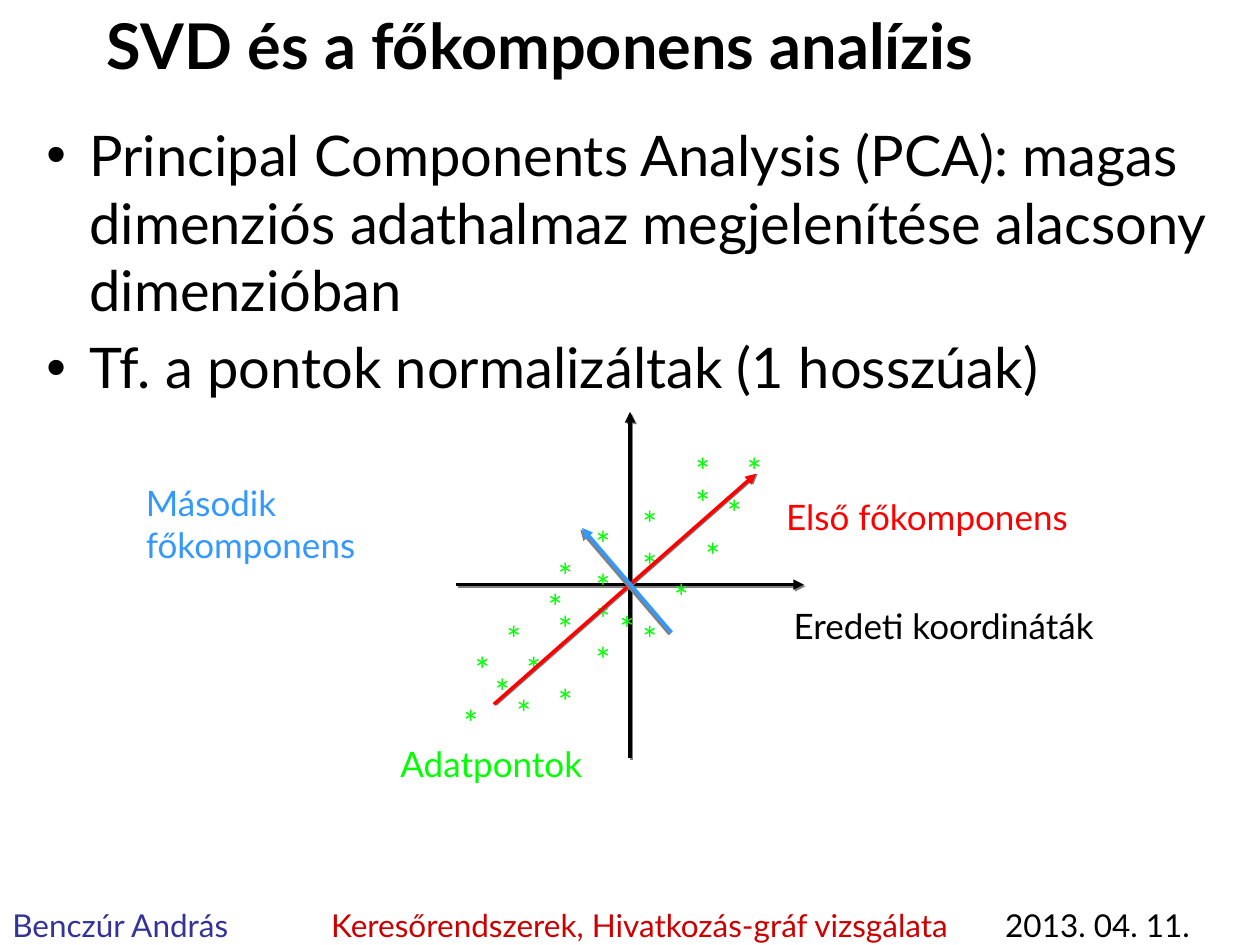
from lxml import etree
from pptx import Presentation
from pptx.dml.color import RGBColor
from pptx.enum.shapes import MSO_CONNECTOR
from pptx.enum.text import MSO_ANCHOR, PP_ALIGN
from pptx.oxml import parse_xml
from pptx.oxml.ns import nsdecls, qn
from pptx.util import Inches, Pt

COLORS = {"black": "000000", "green": "00FF00", "red": "FF0000", "blue": "3399FF",
          "navy": "333399", "crimson": "CC0000", "shadow": "808080"}
FONT = "Lato"

prs = Presentation()
prs.slide_width, prs.slide_height = Inches(10), Inches(7.5)
s = prs.slides.add_slide(prs.slide_layouts[6])


def add_text(paragraphs, x, y, w, h, size=20, bold=False, wrap=False,
             anchor=MSO_ANCHOR.TOP, gap=0):
    """Each paragraph is a list of (text, color) runs."""
    sp = s.shapes.add_textbox(Inches(x), Inches(y), Inches(w), Inches(h))
    tf = sp.text_frame
    tf.word_wrap = wrap
    tf.vertical_anchor = anchor
    for i, runs in enumerate(paragraphs):
        p = tf.add_paragraph() if i else tf.paragraphs[0]
        p.alignment = PP_ALIGN.LEFT
        p.space_before = Pt(gap if i else 0)
        for n, line in enumerate(runs):
            text, color = line
            for k, part in enumerate(text.split("\n")):
                if k:
                    p.add_line_break()
                r = p.add_run()
                r.text = part
                r.font.name, r.font.size, r.font.bold = FONT, Pt(size), bold
                r.font.color.rgb = RGBColor.from_string(COLORS[color])
    return tf


def add_arrow(start, end, color, shadow_dist, shadow_angle):
    c = s.shapes.add_connector(MSO_CONNECTOR.STRAIGHT,
                               *(Inches(v) for v in start + end))
    c.line.width = Pt(2)
    c.line.color.rgb = RGBColor.from_string(COLORS[color])
    etree.SubElement(c.line._get_or_add_ln(), qn("a:tailEnd"), type="triangle")
    c._element.spPr.append(parse_xml(
        f'<a:effectLst {nsdecls("a")}><a:outerShdw dist="{Pt(shadow_dist)}" '
        f'dir="{shadow_angle * 60000}" algn="ctr" rotWithShape="0">'
        f'<a:srgbClr val="{COLORS["shadow"]}"/></a:outerShdw></a:effectLst>'))


# Footer, its three parts set on tab stops
tf = add_text([[("Benczúr András\t", "navy"),
                ("Keresőrendszerek, Hivatkozás-gráf vizsgálata\t", "crimson"),
                ("2013. 04. 11.", "black")]], 0, 7.14, 10, 0.4, size=18, wrap=True)
tabs = etree.SubElement(tf.paragraphs[0]._p.get_or_add_pPr(), qn("a:tabLst"))
for stop in (2.53, 7.88):
    etree.SubElement(tabs, qn("a:tab"), pos=str(Inches(stop)), algn="l")

# Bulleted body
tf = add_text([[("Principal Components Analysis (PCA): magas dimenziós adathalmaz "
                 "megjelenítése alacsony dimenzióban", "black")],
               [("Tf. a pontok normalizáltak (1 hosszúak)", "black")]],
              0.27, 0.91, 9.45, 6.14, size=32, wrap=True, gap=6)
for p in tf.paragraphs:
    pPr = p._p.get_or_add_pPr()
    pPr.set("marL", str(Inches(0.34)))
    pPr.set("indent", str(Inches(-0.34)))
    etree.SubElement(pPr, qn("a:buFont"), typeface="Arial")
    etree.SubElement(pPr, qn("a:buChar"), char="•")

# Original axes
add_arrow((5, 6.02), (5, 3.27), "black", 1.4, 45)
add_arrow((3.62, 4.64), (6.38, 4.64), "black", 1.4, 45)
add_text([[("Eredeti koordináták", "black")]], 6.2, 4.75, 2.69, 0.44)

# Data points
POINTS = [
    (3.58, 5.52), (3.67, 5.1), (3.83, 5.27), (3.92, 4.85), (4, 5.44), (4.08, 5.1),
    (4.25, 4.6), (4.33, 4.35), (4.33, 4.77), (4.33, 5.35), (4.63, 4.1), (4.63, 4.44),
    (4.63, 4.69), (4.63, 5.02), (4.82, 4.77), (5, 3.94), (5, 4.27), (5, 4.85),
    (5.25, 4.52), (5.42, 3.52), (5.42, 3.77), (5.5, 4.19), (5.67, 3.85), (5.83, 3.52),
]
for x, y in POINTS:
    add_text([[("*", "green")]], x, y, 0.37, 0.5)
add_text([[("Adatpontok", "green")]], 3.08, 5.84, 1.64, 0.44)

# Principal components
add_arrow((3.92, 5.59), (6, 3.76), "red", 1, 0)
add_text([[("Első főkomponens", "red")]], 6.14, 3.88, 2.44, 0.44)
add_arrow((5.33, 5.02), (4.62, 4.19), "blue", 1.4, 135)
add_text([[("Második\nfőkomponens", "blue")]], 1.06, 3.77, 2.93, 0.44, wrap=True)

# Title
add_text([[("SVD és a főkomponens analízis", "black")]], 0.75, 0, 8.5, 0.71,
         size=36, bold=True, wrap=True, anchor=MSO_ANCHOR.MIDDLE)

prs.save("out.pptx")
